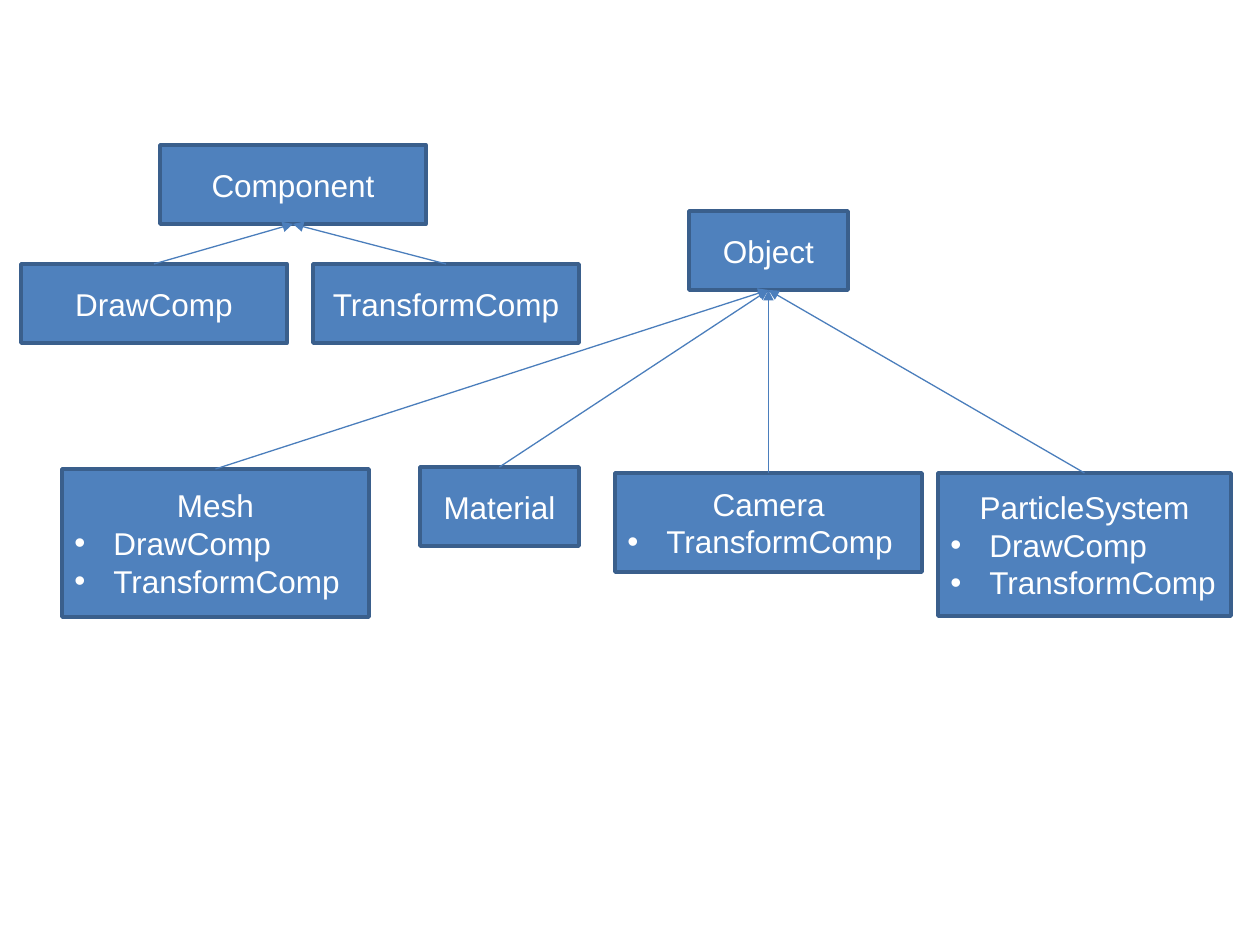
from lxml.etree import SubElement
from pptx import Presentation
from pptx.dml.color import RGBColor
from pptx.enum.shapes import MSO_CONNECTOR, MSO_SHAPE
from pptx.enum.text import MSO_ANCHOR, PP_ALIGN
from pptx.oxml.ns import qn
from pptx.util import Pt

PX = 914400 / 126
TOP, BOTTOM = 0, 2


def color(value):
    return RGBColor.from_string(value)


def write(paragraph, text, size=18, font="Arial", fill="FFFFFF", bullet=False):
    paragraph.alignment = PP_ALIGN.LEFT if bullet else PP_ALIGN.CENTER
    if bullet:
        properties = paragraph._p.get_or_add_pPr()
        indent = round(39 * PX)
        properties.set("marL", str(indent))
        properties.set("indent", str(-indent))
        SubElement(properties, qn("a:buFont"), typeface="Arial")
        SubElement(properties, qn("a:buChar"), char="•")
    run = paragraph.add_run()
    run.text = text
    run.font.size = Pt(size)
    run.font.name = font
    run.font.color.rgb = color(fill)


presentation = Presentation()
presentation.slide_width = round(1260 * PX)
presentation.slide_height = round(945 * PX)
slide = presentation.slides.add_slide(presentation.slide_layouts[6])

classes = [
    ("Mesh", ["DrawComp", "TransformComp"], (62, 469, 307, 148), "Object"),
    ("Material", [], (420, 467, 159, 79), "Object"),
    ("Camera", ["TransformComp"], (615, 473, 307, 99), "Object"),
    ("ParticleSystem", ["DrawComp", "TransformComp"], (938, 473, 293, 143), "Object"),
    ("Object", [], (689, 211, 159, 79), None),
    ("Component", [], (160, 145, 266, 79), None),
    ("DrawComp", [], (21, 264, 266, 79), "Component"),
    ("TransformComp", [], (313, 264, 266, 79), "Component"),
]

boxes = {}
for name, components, bounds, parent in classes:
    shape = slide.shapes.add_shape(
        MSO_SHAPE.FLOWCHART_PROCESS, *[round(length * PX) for length in bounds]
    )
    shape.shadow.inherit = False
    shape.fill.solid()
    shape.fill.fore_color.rgb = color("4F81BD")
    shape.line.color.rgb = color("3A5F8C")
    shape.line.width = Pt(2)
    frame = shape.text_frame
    frame.word_wrap = True
    frame.vertical_anchor = MSO_ANCHOR.MIDDLE
    write(frame.paragraphs[0], name)
    for component in components:
        write(frame.add_paragraph(), component, bullet=True)
    boxes[name] = shape

for name, components, bounds, parent in classes:
    if parent is None:
        continue
    child, target = boxes[name], boxes[parent]
    connector = slide.shapes.add_connector(
        MSO_CONNECTOR.STRAIGHT,
        child.left + child.width // 2,
        child.top,
        target.left + target.width // 2,
        target.top + target.height,
    )
    connector.begin_connect(child, TOP)
    connector.end_connect(target, BOTTOM)
    connector.line.color.rgb = color("4B7EBC")
    connector.line.width = Pt(0.75)
    SubElement(connector.line._get_or_add_ln(), qn("a:tailEnd"), type="triangle")
    SubElement(connector._element.spPr, qn("a:effectLst"))

presentation.save("out.pptx")
